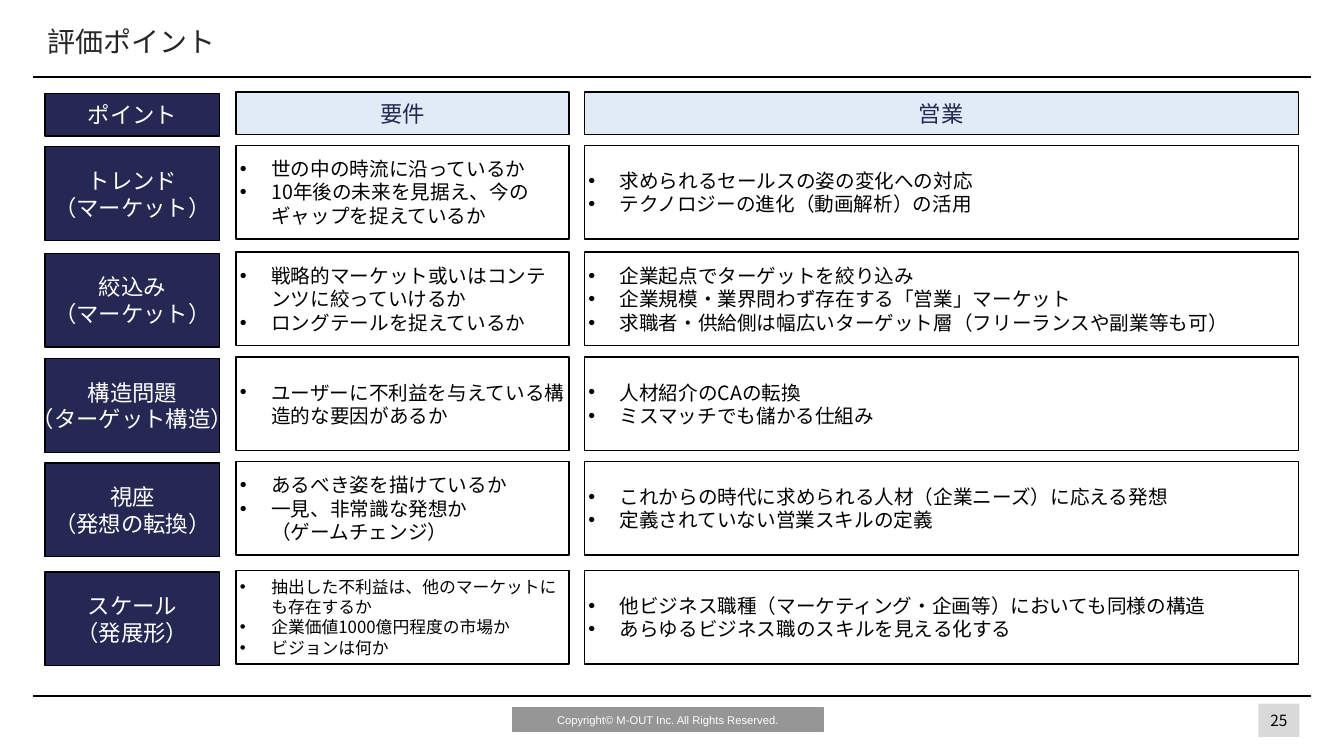
import copy

import lxml.etree
import pptx
import pptx.dml.color
import pptx.enum.shapes
import pptx.enum.text
import pptx.oxml.ns
import pptx.util

Cm, Pt = pptx.util.Cm, pptx.util.Pt
qn = pptx.oxml.ns.qn
ALIGN = pptx.enum.text.PP_ALIGN
ANCHOR = pptx.enum.text.MSO_ANCHOR

TITLE = "評価ポイント"
HEADERS = ["ポイント", "要件", "営業"]
# Top of the row in cm, point, requirements, sales, size of the requirements
ROWS = [
    (3.66, ["トレンド", "（マーケット）"],
     ["世の中の時流に沿っているか", "10年後の未来を見据え、今のギャップを捉えているか"],
     ["求められるセールスの姿の変化への対応", "テクノロジーの進化（動画解析）の活用"], 14),
    (6.35, ["絞込み", "（マーケット）"],
     ["戦略的マーケット或いはコンテンツに絞っていけるか", "ロングテールを捉えているか"],
     ["企業起点でターゲットを絞り込み",
      "企業規模・業界問わず存在する「営業」マーケット",
      "求職者・供給側は幅広いターゲット層（フリーランスや副業等も可）"], 14),
    (9.0, ["構造問題", "（ターゲット構造）"],
     ["ユーザーに不利益を与えている構造的な要因があるか"],
     ["人材紹介のCAの転換", "ミスマッチでも儲かる仕組み"], 14),
    (11.63, ["視座", "（発想の転換）"],
     ["あるべき姿を描けているか", "一見、非常識な発想か\v（ゲームチェンジ）"],
     ["これからの時代に求められる人材（企業ニーズ）に応える発想",
      "定義されていない営業スキルの定義"], 14),
    (14.37, ["スケール", "（発展形）"],
     ["抽出した不利益は、他のマーケットにも存在するか",
      "企業価値1000億円程度の市場か", "ビジョンは何か"],
     ["他ビジネス職種（マーケティング・企画等）においても同様の構造",
      "あらゆるビジネス職のスキルを見える化する"], 12),
]
COPYRIGHT = "Copyright© M-OUT Inc. All Rights Reserved."
PAGE = "25"

FONT = "Noto Sans CJK JP"
NAVY, PALE, BLACK, WHITE = "242852", "E0EBF6", "000000", "FFFFFF"
COLUMNS = [(1.14, 4.4), (5.95, 8.4), (14.73, 18.0)]  # left, width
HEADER_TOP, HEADER_HEIGHT, ROW_HEIGHT = 2.32, 1.07, 2.36
POINT_DROP = 0.04  # the point column sits slightly lower
RULES = [1.93, 17.53]


def color(value):
    return pptx.dml.color.RGBColor.from_string(value)


def add_bullet(paragraph):
    properties = paragraph._p.get_or_add_pPr()
    properties.set("marL", str(Cm(0.79)))
    properties.set("indent", str(-Cm(0.79)))
    bullet_color = lxml.etree.SubElement(properties, qn("a:buClr"))
    lxml.etree.SubElement(bullet_color, qn("a:srgbClr"), val=BLACK)
    lxml.etree.SubElement(properties, qn("a:buFont"), typeface="Arial")
    lxml.etree.SubElement(properties, qn("a:buChar"), char="•")


def write(shape, lines, size=14, ink=BLACK, font=FONT, align=ALIGN.LEFT,
          anchor=ANCHOR.MIDDLE, inset=0.1, wrap=True, bullets=False):
    frame = shape.text_frame
    frame.auto_size = pptx.enum.text.MSO_AUTO_SIZE.NONE
    frame.word_wrap = wrap
    frame.vertical_anchor = anchor
    frame.margin_left = frame.margin_right = Cm(inset)
    frame.margin_top = frame.margin_bottom = Cm(min(inset, 0.13))
    for index, line in enumerate(lines):
        paragraph = frame.add_paragraph() if index else frame.paragraphs[0]
        paragraph.text = line
        paragraph.alignment = align
        if bullets:
            add_bullet(paragraph)
        for run in paragraph.runs:
            run.font.size = Pt(size)
            run.font.color.rgb = color(ink)
            run.font.name = font
            run_format = run._r.get_or_add_rPr()
            lxml.etree.SubElement(run_format, qn("a:ea"), typeface=font)
        for line_break in paragraph._p.findall(qn("a:br")):
            line_break.append(copy.deepcopy(run_format))


def add_box(slide, left, top, width, height, fill=None, line=None):
    shape = slide.shapes.add_shape(
        pptx.enum.shapes.MSO_SHAPE.RECTANGLE, Cm(left), Cm(top), Cm(width), Cm(height))
    shape.shadow.inherit = False
    if fill:
        shape.fill.solid()
        shape.fill.fore_color.rgb = color(fill)
    else:
        shape.fill.background()
    if line:
        shape.line.color.rgb = color(line)
        shape.line.width = Pt(1)
    else:
        shape.line.fill.background()
    return shape


def add_rule(slide, y):
    rule = slide.shapes.add_connector(
        pptx.enum.shapes.MSO_CONNECTOR.STRAIGHT, Cm(0.84), Cm(y), Cm(33.05), Cm(y))
    rule.line.color.rgb = color(BLACK)
    rule.line.width = Pt(1.5)
    lxml.etree.SubElement(rule._element.spPr, qn("a:effectLst"))


def add_frame(slide):
    """Title, rules and footer."""
    title = slide.shapes.title
    title.left, title.top, title.width, title.height = Cm(0.94), Cm(0.33), Cm(25.4), Cm(1.4)
    write(title, [TITLE], size=20, ink="262626", inset=0.25)
    for y in RULES:
        add_rule(slide, y)
    footer = add_box(slide, 12.93, 17.83, 7.82, 0.61, fill="969696", line="969696")
    write(footer, [COPYRIGHT], size=8, ink=WHITE, font="Arial", align=ALIGN.CENTER, inset=0.25)
    page = add_box(slide, 31.72, 17.73, 1.04, 0.84, fill="D9D9D9")
    write(page, [PAGE], size=11, align=ALIGN.CENTER, wrap=False)


def add_grid(slide):
    for index, (header, (left, width)) in enumerate(zip(HEADERS, COLUMNS)):
        is_point = index == 0
        top = HEADER_TOP + POINT_DROP * is_point
        box = add_box(slide, left, top, width, HEADER_HEIGHT,
                      fill=NAVY if is_point else PALE, line=BLACK)
        write(box, [header], size=16, ink=WHITE if is_point else NAVY,
              align=ALIGN.CENTER, wrap=False)
    for top, point, requirements, sales, requirement_size in ROWS:
        left, width = COLUMNS[0]
        box = add_box(slide, left, top + POINT_DROP, width, ROW_HEIGHT, fill=NAVY, line=BLACK)
        write(box, point, size=16, ink=WHITE, align=ALIGN.CENTER, wrap=False)
        cells = [(requirements, requirement_size), (sales, 14)]
        for (left, width), (lines, size) in zip(COLUMNS[1:], cells):
            box = add_box(slide, left, top, width, ROW_HEIGHT, line=BLACK)
            write(box, lines, size=size, bullets=True)


def main():
    presentation = pptx.Presentation()
    presentation.slide_width, presentation.slide_height = Cm(33.88), Cm(19.05)
    slide = presentation.slides.add_slide(presentation.slide_layouts[5])
    add_frame(slide)
    add_grid(slide)
    presentation.save("out.pptx")


if __name__ == "__main__":
    main()
